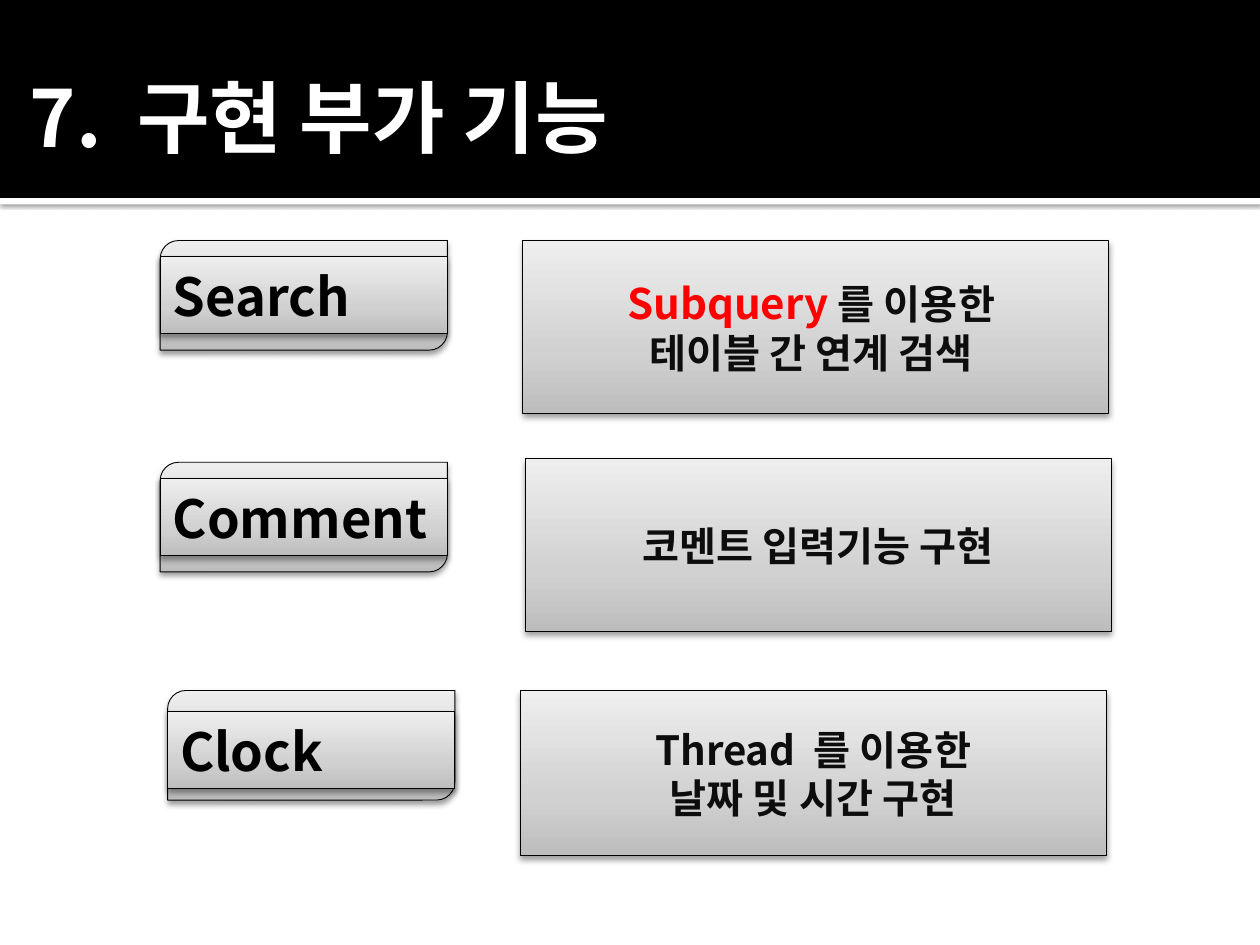
from copy import deepcopy
from dataclasses import dataclass

from lxml.etree import SubElement
from pptx import Presentation
from pptx.dml.color import RGBColor as RGB
from pptx.enum.shapes import MSO_SHAPE as Preset
from pptx.enum.text import MSO_ANCHOR as Anchor, PP_ALIGN as Align
from pptx.oxml.ns import qn
from pptx.util import Cm, Pt


@dataclass(frozen=True)
class Theme:
    font: str = "Noto Sans CJK KR"
    black: str = "000000"
    white: str = "FFFFFF"
    body: str = "0D0D0D"
    accent: str = "FF0000"
    gradient: tuple = ((0, "BDBDBD"), (0.35, "D1D1D1"), (1, "EEEEEE"))
    title_size: float = 45
    label_size: float = 30
    body_size: float = 23
    accent_size: float = 24
    outline: float = 0.5


THEME = Theme()
SLIDE_WIDTH, SLIDE_HEIGHT = 25.4, 19.05
HEADER_HEIGHT = 3.99
LABEL_WIDTH, LABEL_HEIGHT, BAR_HEIGHT = 5.79, 2.21, 1.55
PANEL_WIDTH = 11.81


@dataclass
class Span:
    """A piece of text; unset values follow its paragraph."""
    text: str
    size: float = None
    color: str = None
    spacing: float = None


@dataclass
class Feature:
    label: str
    label_at: tuple
    bar_offset: float
    panel_at: tuple
    panel_height: float
    lines: list


FEATURES = [
    Feature("Search", (3.23, 4.85), 0.33, (10.54, 4.85), 3.48,
            [[Span("Subquery ", THEME.accent_size, THEME.accent), Span("를 이용한 ")],
             [Span("테이블 간 연계 검색 ")]]),
    Feature("Comment", (3.23, 9.32), 0.33, (10.59, 9.25), 3.48,
            [[Span("코멘트 입력기능 구현")]]),
    Feature("Clock", (3.38, 13.92), 0.43, (10.49, 13.92), 3.33,
            [[Span("Thread"), Span(" ", spacing=5), Span("를 이용한")],
             [Span("날짜 및 시간 구현")]]),
]


def add_shadow(shape, opacity, blur, distance):
    effects = shape._element.spPr.find(qn("a:effectLst"))
    shadow = SubElement(effects, qn("a:outerShdw"), blurRad=str(Pt(blur)),
                        dist=str(Pt(distance)), dir="5400000", rotWithShape="0")
    color = SubElement(shadow, qn("a:srgbClr"), val=THEME.black)
    SubElement(color, qn("a:alpha"), val=str(opacity * 1000))


def add_shape(shapes, preset, left, top, width, height):
    shape = shapes.add_shape(preset, Cm(left), Cm(top), Cm(width), Cm(height))
    shape.shadow.inherit = False
    return shape


def add_band(page, top, height, color):
    band = add_shape(page.shapes, Preset.RECTANGLE, 0, top, SLIDE_WIDTH, height)
    band.fill.solid()
    band.fill.fore_color.rgb = RGB.from_string(color)
    band.line.fill.background()
    return band


def add_metal(shapes, preset, left, top, width, height):
    """Add an outlined shape with the grey gradient and a soft shadow."""
    shape = add_shape(shapes, preset, left, top, width, height)
    shape.fill.gradient()
    shape.fill.gradient_angle = 90
    stop_list = shape._element.spPr.find(qn("a:gradFill")).find(qn("a:gsLst"))
    stop_list.append(deepcopy(stop_list[0]))
    for stop, (position, color) in zip(shape.fill.gradient_stops, THEME.gradient):
        stop.position = position
        stop.color.rgb = RGB.from_string(color)
    shape.line.color.rgb = RGB.from_string(THEME.black)
    shape.line.width = Pt(THEME.outline)
    add_shadow(shape, 38, 3.5, 2)
    return shape


def write_text(box, lines, size, color, align=Align.LEFT):
    frame = box.text_frame
    frame.word_wrap = True
    frame.vertical_anchor = Anchor.MIDDLE
    for index, spans in enumerate(lines):
        para = frame.add_paragraph() if index else frame.paragraphs[0]
        para.alignment = align
        para.font.size = Pt(size)
        para.font.bold = True
        para.font.color.rgb = RGB.from_string(color)
        para.font.name = THEME.font
        SubElement(para.font._element, qn("a:ea"), typeface=THEME.font)
        for span in spans:
            run = para.add_run()
            run.text = span.text
            # Shape styles colour the runs, so the colour is set here too
            run.font.color.rgb = RGB.from_string(span.color or color)
            if span.size:
                run.font.size = Pt(span.size)
            if span.spacing:
                run.font._element.set("spc", str(round(span.spacing * 100)))


def add_header(page):
    rule = add_band(page, HEADER_HEIGHT, 0.13, THEME.white)
    add_shadow(rule, 60, 2.5, 0.8)
    add_band(page, 0, HEADER_HEIGHT, THEME.black)
    title = page.shapes.add_textbox(0, Cm(0.74), Cm(SLIDE_WIDTH), Cm(3.18))
    title.text_frame.margin_left = Cm(0.6)
    write_text(title, [[Span("7."), Span(" ", spacing=10), Span("구현 부가 기능")]],
               THEME.title_size, THEME.white)


def add_label(page, feature):
    left, top = feature.label_at
    shapes = page.shapes.add_group_shape().shapes
    add_metal(shapes, Preset.ROUND_2_DIAG_RECTANGLE, left, top,
              LABEL_WIDTH, LABEL_HEIGHT)
    bar = add_metal(shapes, Preset.RECTANGLE, left, top + feature.bar_offset,
                    LABEL_WIDTH, BAR_HEIGHT)
    write_text(bar, [[Span(feature.label)]], THEME.label_size, THEME.black)


def add_panel(page, feature):
    panel = add_metal(page.shapes, Preset.RECTANGLE, *feature.panel_at,
                      PANEL_WIDTH, feature.panel_height)
    write_text(panel, feature.lines, THEME.body_size, THEME.body, Align.CENTER)


def main():
    deck = Presentation()
    deck.slide_width, deck.slide_height = Cm(SLIDE_WIDTH), Cm(SLIDE_HEIGHT)
    page = deck.slides.add_slide(deck.slide_layouts[6])

    # Title band
    add_header(page)

    # One label and one description per feature
    for feature in FEATURES:
        add_panel(page, feature)
        add_label(page, feature)

    deck.save("out.pptx")


if __name__ == "__main__":
    main()
